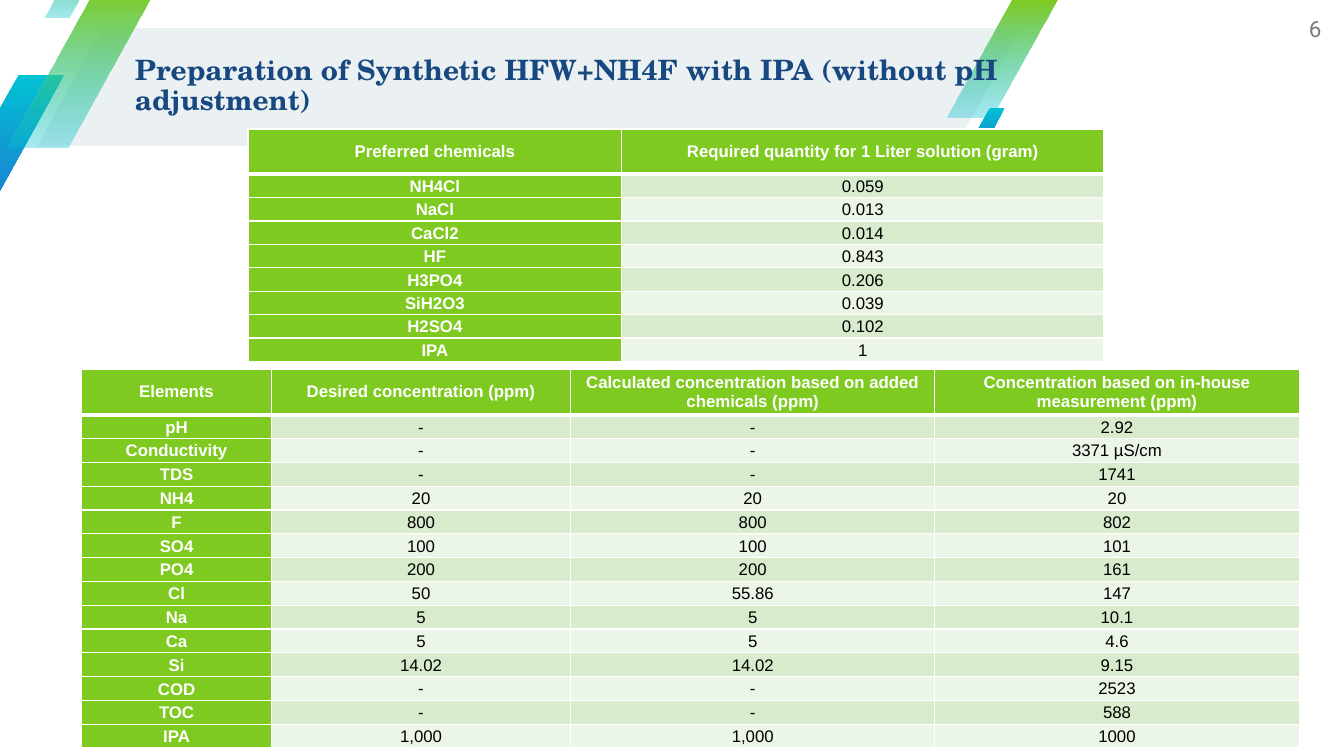
"""Build the slide on preparing synthetic HFW+NH4F with IPA."""
from lxml import etree
from pptx import Presentation
from pptx import util as u
from pptx.dml.color import RGBColor
from pptx.enum import shapes, text
from pptx.oxml import ns

WHITE = RGBColor(0xFF, 0xFF, 0xFF)
BLACK = RGBColor(0, 0, 0)
NAVY = RGBColor(0x18, 0x48, 0x80)
GREY = RGBColor(0x75, 0x7C, 0x83)
BAND = RGBColor(0xEB, 0xF0, 0xF3)
GREEN = RGBColor(0x7F, 0xCA, 0x20)
CYAN = RGBColor(0x02, 0xC1, 0xD3)
BLUE = RGBColor(0x19, 0x85, 0xD2)
ROW_TINTS = (RGBColor(0xD8, 0xEC, 0xCD), RGBColor(0xEC, 0xF6, 0xE8))

BLUE_FADE = (CYAN, BLUE, 100)
GREEN_FADE = (GREEN, CYAN, 34)
RIBBONS = [
    (-1.17, 1.88, 2.79, 2.97, BLUE_FADE),
    (23.85, 0, 2.79, 2.97, GREEN_FADE),
    (0.2, -0.25, 3.71, 3.96, GREEN_FADE),
    (1.12, -1.22, 1.55, 1.65, GREEN_FADE),
    (24.41, 2.72, 0.91, 0.99, BLUE_FADE),
]
CHEMICALS = [
    ("Preferred chemicals", "Required quantity for 1 Liter solution (gram)"),
    ("NH4Cl", "0.059"),
    ("NaCl", "0.013"),
    ("CaCl2", "0.014"),
    ("HF", "0.843"),
    ("H3PO4", "0.206"),
    ("SiH2O3", "0.039"),
    ("H2SO4", "0.102"),
    ("IPA", "1"),
]
ELEMENTS = [
    ("Elements", "Desired concentration (ppm)",
     "Calculated concentration based on added chemicals (ppm)",
     "Concentration based on in-house measurement (ppm)"),
    ("pH", "-", "-", "2.92"),
    ("Conductivity", "-", "-", "3371 µS/cm"),
    ("TDS", "-", "-", "1741"),
    ("NH4", "20", "20", "20"),
    ("F", "800", "800", "802"),
    ("SO4", "100", "100", "101"),
    ("PO4", "200", "200", "161"),
    ("Cl", "50", "55.86", "147"),
    ("Na", "5", "5", "10.1"),
    ("Ca", "5", "5", "4.6"),
    ("Si", "14.02", "14.02", "9.15"),
    ("COD", "-", "-", "2523"),
    ("TOC", "-", "-", "588"),
    ("IPA", "1,000", "1,000", "1000"),
]


class SlideBuilder:
    """Hold the table style and the current slide."""

    cell_font = "Arial"
    cell_size = 12
    header_height = 1.14

    def __init__(self, prs):
        self.slide = prs.slides.add_slide(prs.slide_layouts[5])

    def set_font(self, p, name, size, color, bold=False):
        p.font.name = name
        p.font.size = u.Pt(size)
        p.font.bold = bold
        p.font.color.rgb = color

    def set_text(self, sp, words, align):
        tf = sp.text_frame
        tf.word_wrap = True
        tf.auto_size = text.MSO_AUTO_SIZE.NONE
        tf.vertical_anchor = text.MSO_ANCHOR.MIDDLE
        tf.margin_left = tf.margin_right = tf.margin_top = tf.margin_bottom = 0
        p = tf.paragraphs[0]
        p.text = words
        p.alignment = align
        return p

    def parallelogram(self, left, top, width, height, slant):
        sp = self.slide.shapes.add_shape(
            shapes.MSO_SHAPE.PARALLELOGRAM,
            u.Cm(left), u.Cm(top), u.Cm(width), u.Cm(height))
        sp.adjustments[0] = slant
        sp.shadow.inherit = False
        sp.line.fill.background()
        return sp

    def band(self, left, top, width, height):
        sp = self.parallelogram(left, top, width, height, 0.55)
        sp.fill.solid()
        sp.fill.fore_color.rgb = BAND

    def ribbon(self, left, top, width, height, fade):
        start, end, opacity = fade
        sp = self.parallelogram(left, top, width, height, 0.59)
        sp.fill.gradient()
        sp.fill.gradient_angle = 270
        for stop, color in zip(sp.fill.gradient_stops, (start, end)):
            stop.color.rgb = color
        if opacity < 100:
            last = sp.element.findall(".//" + ns.qn("a:srgbClr"))[-1]
            etree.SubElement(last, ns.qn("a:alpha"), val=str(opacity * 1000))

    def title(self, words, left, top, width, height):
        sp = self.slide.shapes.title
        sp.left, sp.top, sp.width, sp.height = map(u.Cm, (left, top, width, height))
        p = self.set_text(sp, words, text.PP_ALIGN.LEFT)
        p.line_spacing = 0.9
        self.set_font(p, "TeX Gyre Schola", 20, NAVY, True)
        self.slide.shapes.element.append(sp.element)

    def page_number(self, words, left, top, width, height):
        sp = self.slide.shapes.add_textbox(
            u.Cm(left), u.Cm(top), u.Cm(width), u.Cm(height))
        p = self.set_text(sp, words, text.PP_ALIGN.RIGHT)
        self.set_font(p, "Roboto", 16, GREY)

    def borders(self, cell, row):
        widths = {"L": 1, "R": 1, "T": 3 if row == 1 else 1, "B": 3 if row == 0 else 1}
        tc_pr = cell._tc.get_or_add_tcPr()
        for side, width in widths.items():
            ln = etree.SubElement(tc_pr, ns.qn("a:ln" + side), w=str(u.Pt(width)))
            fill = etree.SubElement(ln, ns.qn("a:solidFill"))
            etree.SubElement(fill, ns.qn("a:srgbClr"), val=str(WHITE))

    def cell(self, cell, words, row, col):
        heading = row == 0 or col == 0
        self.borders(cell, row)
        cell.fill.solid()
        cell.fill.fore_color.rgb = GREEN if heading else ROW_TINTS[(row - 1) % 2]
        cell.vertical_anchor = text.MSO_ANCHOR.MIDDLE
        cell.margin_left = cell.margin_right = u.Cm(0.08 if heading else 0.03)
        cell.margin_top = u.Cm(0 if heading else 0.03)
        cell.margin_bottom = 0
        p = cell.text_frame.paragraphs[0]
        p.text = words
        p.alignment = text.PP_ALIGN.CENTER
        if col == 0 and row > 0:
            p.line_spacing = 1.07
            p.space_after = u.Pt(8)
        self.set_font(p, self.cell_font, self.cell_size,
                      WHITE if heading else BLACK, heading)

    def table(self, rows, left, top, col_widths, row_height):
        height = self.header_height + row_height * (len(rows) - 1)
        table = self.slide.shapes.add_table(
            len(rows), len(col_widths), u.Cm(left), u.Cm(top),
            u.Cm(sum(col_widths)), u.Cm(height)).table
        for column, width in zip(table.columns, col_widths):
            column.width = u.Cm(width)
        for i, values in enumerate(rows):
            table.rows[i].height = u.Cm(row_height if i else self.header_height)
            for j, words in enumerate(values):
                self.cell(table.cell(i, j), words, i, j)


def main():
    prs = Presentation()
    prs.slide_width, prs.slide_height = u.Cm(33.87), u.Cm(19.05)
    s = SlideBuilder(prs)
    s.band(0.94, 0.71, 24.79, 2.97)
    for ribbon in RIBBONS:
        s.ribbon(*ribbon)
    s.title("Preparation of Synthetic HFW+NH4F with IPA (without pH adjustment)",
            3.4, 0.66, 22.33, 3.02)
    s.page_number("6", 31.7, 0, 1.6, 1.45)
    s.table(CHEMICALS, 6.25, 3.25, (9.42, 12.15), 0.59)
    s.table(ELEMENTS, 2.06, 9.31, (4.78, 7.54, 9.18, 9.18), 0.6)
    prs.save("out.pptx")


if __name__ == "__main__":
    main()
